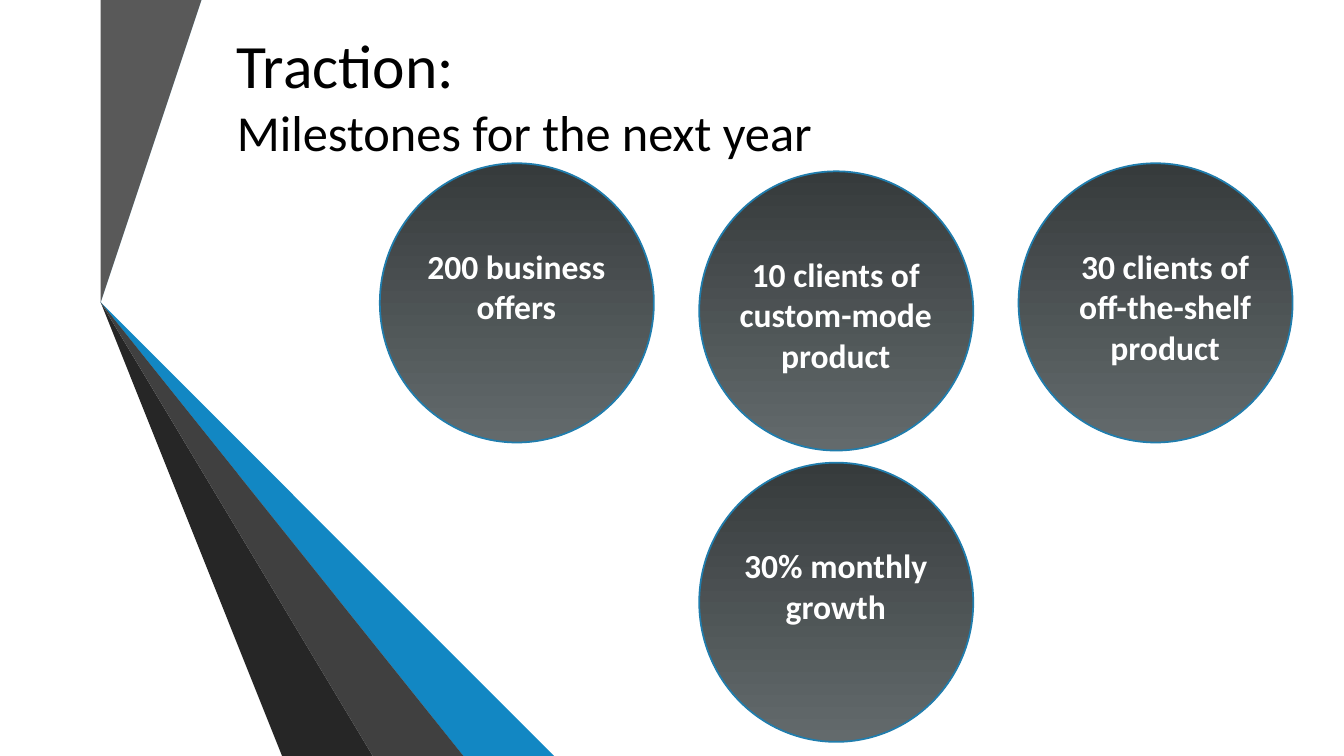
import pptx
import pptx.dml.color
import pptx.enum.shapes
import pptx.enum.text
import pptx.util
from dataclasses import dataclass

Inches = pptx.util.Inches
Pt = pptx.util.Pt
RGB = pptx.dml.color.RGBColor.from_string
Align = pptx.enum.text.PP_ALIGN
Anchor = pptx.enum.text.MSO_ANCHOR
AutoSize = pptx.enum.text.MSO_AUTO_SIZE


@dataclass(frozen=True)
class Theme:
    font: str = "Calibri"
    title_size: int = 44
    subtitle_size: int = 36
    label_size: int = 24
    title_color: str = "000000"
    label_color: str = "FFFFFF"
    circle_top: str = "363B3C"
    circle_bottom: str = "636A6C"
    circle_line: str = "207DAD"
    blue_light: str = "30ACEC"
    blue: str = "1287C3"
    blue_dark: str = "0C5A82"
    gray_light: str = "595959"
    gray: str = "404040"
    gray_dark: str = "262626"


theme = Theme()
W, H = 13.34, 7.5


def add_run(p, text, size, color, bold=False):
    r = p.add_run()
    r.text = text
    r.font.name = theme.font
    r.font.size = Pt(size)
    r.font.bold = bold
    r.font.color.rgb = RGB(color)


prs = pptx.Presentation()
prs.slide_width, prs.slide_height = Inches(W), Inches(H)
s = prs.slides.add_slide(prs.slide_layouts[5])

# Folded ribbons on the left, back to front
gray_left, gray_right = (0.6, 2.82), (0.99, 2.92)
blue_left, blue_right = (1.08, 2.94), (1.47, 3.04)
ribbons = [
    (theme.blue_light, [blue_left, blue_right, (2.24, 0), (1.82, 0)]),
    (theme.gray_light, [gray_left, gray_right, (1.73, 0), (1.31, 0)]),
    (theme.gray_dark, [gray_left, (3.41, H), (3.54, H)]),
    (theme.blue_dark, [blue_left, (4.59, H), (4.73, H)]),
    (theme.blue, [blue_left, (4.73, H), (6.08, H), blue_right]),
    (theme.gray, [gray_left, (3.54, H), (4.52, H), gray_right]),
]
ribbon_group = s.shapes.add_group_shape()
for color, points in ribbons:
    builder = ribbon_group.shapes.build_freeform(*points[0], scale=Inches(1))
    builder.add_line_segments(points[1:], close=True)
    sp = builder.convert_to_shape()
    sp.shadow.inherit = False
    sp.fill.solid()
    sp.fill.fore_color.rgb = RGB(color)
    sp.line.fill.background()

# Title
title = s.shapes.title
title.left, title.top = Inches(2.25), Inches(0.01)
title.width, title.height = Inches(8.82), Inches(1.64)
tf = title.text_frame
tf.auto_size = AutoSize.NONE
tf.vertical_anchor = Anchor.BOTTOM
p = tf.paragraphs[0]
p.alignment = Align.LEFT
add_run(p, "Traction:", theme.title_size, theme.title_color)
p.add_line_break()
add_run(p, "Milestones for the next year", theme.subtitle_size, theme.title_color)

# Milestone circles: column, row, label inset, label lines, text
GRID_LEFT, GRID_TOP = 3.77, 1.62
COL, ROW = 3.17, 2.89
MIDDLE_DROP = 0.08
CIRCLE_W, CIRCLE_H = 2.72, 2.77
LABEL_W, LABEL_DROP, LINE_H = 2.21, 0.77, 0.4
milestones = [
    (1, 0, 0.25, 3, "10 clients of custom-mode product"),
    (2, 0, 0.35, 3, "30 clients of off-the-shelf product"),
    (1, 1, 0.25, 2, "30% monthly growth"),
    (0, 0, 0.25, 2, "200 business offers"),
]
for col, row, inset, lines, text in milestones:
    x = GRID_LEFT + col * COL
    y = GRID_TOP + row * ROW + (MIDDLE_DROP if col == 1 else 0)
    group = s.shapes.add_group_shape()
    sp = group.shapes.add_shape(
        pptx.enum.shapes.MSO_SHAPE.OVAL,
        Inches(x), Inches(y), Inches(CIRCLE_W), Inches(CIRCLE_H))
    sp.shadow.inherit = False
    sp.fill.gradient()
    sp.fill.gradient_angle = 270
    for stop, position, color in zip(sp.fill.gradient_stops, (0, 1),
                                     (theme.circle_top, theme.circle_bottom)):
        stop.position = position
        stop.color.rgb = RGB(color)
    sp.line.color.rgb = RGB(theme.circle_line)
    sp.line.width = Pt(1.25)

    label = group.shapes.add_textbox(
        Inches(x + inset), Inches(y + LABEL_DROP),
        Inches(LABEL_W), Inches(lines * LINE_H + 0.1))
    tf = label.text_frame
    tf.word_wrap = True
    tf.auto_size = AutoSize.SHAPE_TO_FIT_TEXT
    p = tf.paragraphs[0]
    p.alignment = Align.CENTER
    add_run(p, text, theme.label_size, theme.label_color, bold=True)

prs.save("out.pptx")
